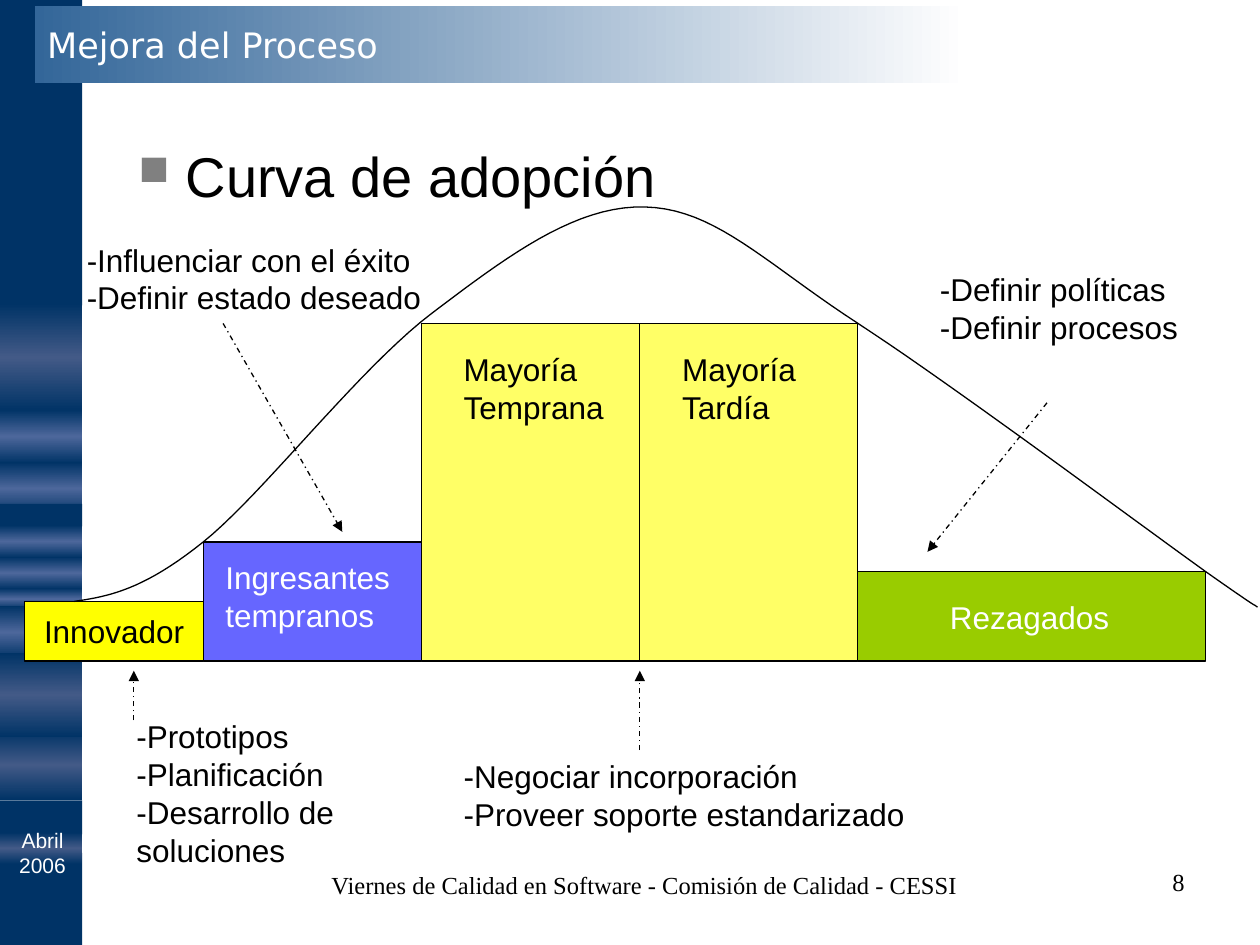
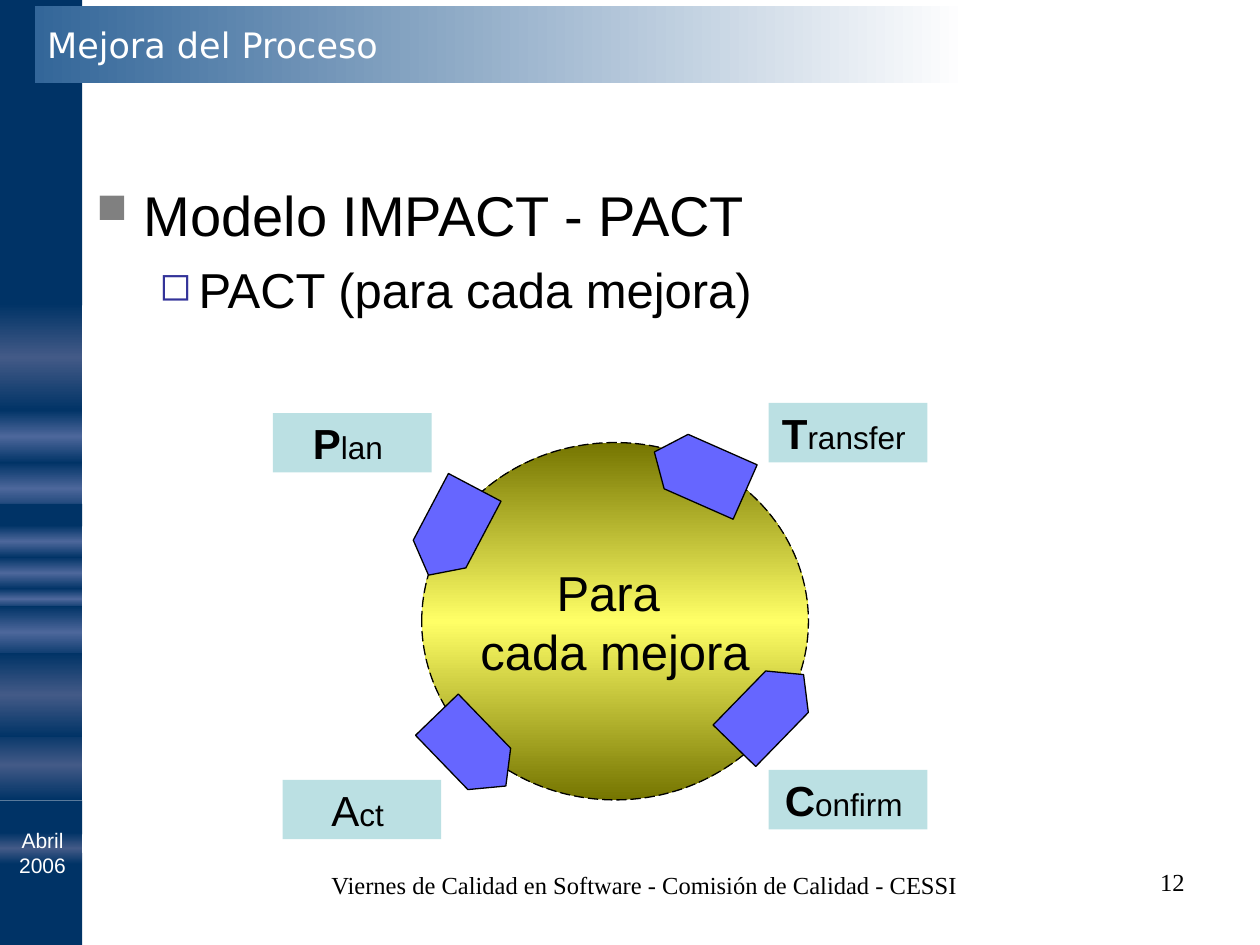
from lxml.etree import SubElement
from pptx import Presentation
from pptx.dml.color import RGBColor
from pptx.enum.dml import MSO_LINE
from pptx.enum.shapes import MSO_CONNECTOR, MSO_SHAPE
from pptx.enum.text import MSO_ANCHOR, PP_ALIGN
from pptx.oxml.ns import qn
from pptx.util import Pt

BLACK, WHITE, NAVY, STEEL = "000000", "FFFFFF", "003366", "336699"
VIOLET, LEMON, AQUA = "6666FF", "FFFF66", "BBE0E3"
rgb = RGBColor.from_string


def add_box(slide, at, fill, outline=False, kind=MSO_SHAPE.RECTANGLE, angle=90):
    """Add a shape; fill is one colour, or a list of evenly spaced gradient colours."""
    box = slide.shapes.add_shape(kind, *map(Pt, at))
    box.shadow.inherit = False
    if isinstance(fill, str):
        box.fill.solid()
        box.fill.fore_color.rgb = rgb(fill)
    else:
        box.fill.gradient()
        box.fill.gradient_angle = angle
        stops = box._element.spPr.find(qn("a:gradFill")).find(qn("a:gsLst"))
        for stop in list(stops):
            stops.remove(stop)
        for i, colour in enumerate(fill):
            stop = SubElement(stops, qn("a:gs"), pos=str(100000 * i // (len(fill) - 1)))
            SubElement(stop, qn("a:srgbClr"), val=colour)
    if outline:
        box.line.color.rgb = rgb(BLACK)
        box.line.width = Pt(0.75)
    else:
        box.line.fill.background()
    return box


def write(box, lines, size=18, colour=BLACK, font="Arial", align=PP_ALIGN.LEFT, **frame_format):
    """Fill a text frame; a line is a string or a list of (text, font format) runs."""
    frame = box.text_frame
    for key, value in {"word_wrap": True, **frame_format}.items():
        setattr(frame, key, value)
    for i, line in enumerate(lines):
        paragraph = frame.add_paragraph() if i else frame.paragraphs[0]
        paragraph.alignment = align
        for text, own_format in [(line, {})] if isinstance(line, str) else line:
            run = paragraph.add_run()
            run.text = text
            for key, value in {"name": font, "size": Pt(size), **own_format}.items():
                setattr(run.font, key, value)
            run.font.color.rgb = rgb(colour)


prs = Presentation()
prs.slide_width, prs.slide_height = Pt(720), Pt(540)

# Side band: top, height, middle colour of the gradient (None for plain)
DUSK, SKY = "435A87", "4D679B"
side_bands = [
    (-2, 176.5, None), (487.4, 54.6, None), (417.6, 39.4, DUSK), (457.4, 19.5, None),
    (475.8, 18, DUSK), (173.5, 61.5, DUSK), (234, 30.8, SKY), (264.2, 30.2, SKY),
    (288, 12.8, None), (336.2, 12.2, SKY), (346.3, 30.2, SKY), (318.2, 18.6, SKY),
    (300.2, 18.6, SKY), (373, 48.2, DUSK),
]

# Bullets by level: character, colour, size %, left margin, hanging indent, space before
bullets = [("■", "808080", 75, 27, 27, 0), ("◻", "333399", 80, 58.5, 22.5, 7)]

# Page number, body position, body lines
pages = [
    ("8", (72, 77.3, 611, 356), ["Curva de adopción"]),
    ("12", (48, 99.4, 642, 369),
     ["Modelo IMPACT - PACT", [("PACT (para cada mejora)", {"size": Pt(28)})]]),
]

# Shared parts and body text
slides = []
for number, body_at, body_lines in pages:
    slide = prs.slides.add_slide(prs.slide_layouts[6])
    slides.append(slide)
    for top, height, middle in side_bands:
        add_box(slide, (-1, top, 48, height), [NAVY, middle, NAVY] if middle else NAVY)

    date = slide.shapes.add_textbox(Pt(-59.7), Pt(467.6), Pt(168), Pt(37.4))
    write(date, ["Abril", "2006"], 12, WHITE, align=PP_ALIGN.CENTER,
          vertical_anchor=MSO_ANCHOR.BOTTOM)

    title = add_box(slide, (19.8, 3.5, 533, 44.2), [STEEL, WHITE], angle=0)
    write(title, ["Mejora del Proceso"], 20, WHITE, "DejaVu Sans")

    body = slide.shapes.add_textbox(*map(Pt, body_at))
    write(body, body_lines, 32)
    for level, paragraph in enumerate(body.text_frame.paragraphs):
        mark, colour, percent, margin, hanging, before = bullets[level]
        paragraph.level = level
        if before:
            paragraph.space_before = Pt(before)
        properties = paragraph._p.get_or_add_pPr()
        properties.set("marL", str(Pt(margin)))
        properties.set("indent", str(-Pt(hanging)))
        SubElement(SubElement(properties, qn("a:buClr")), qn("a:srgbClr"), val=colour)
        SubElement(properties, qn("a:buSzPct"), val=str(percent * 1000))
        SubElement(properties, qn("a:buChar"), char=mark)

    footer = slide.shapes.add_textbox(Pt(116), Pt(493.3), Pt(487.5), Pt(37.4))
    write(footer, ["Viernes de Calidad en Software - Comisión de Calidad - CESSI"], 14,
          font="Times New Roman", align=PP_ALIGN.CENTER, margin_left=Pt(24.3))
    page_number = slide.shapes.add_textbox(Pt(516), Pt(491.8), Pt(168), Pt(37.4))
    write(page_number, [number], 14, font="Times New Roman", align=PP_ALIGN.RIGHT)

adoption, pact = slides

# Adoption groups, all standing on one base line
BASE = 377.7
innovators = add_box(adoption, (14.2, 343.7, 102, BASE - 343.7), "FFFF00", True)
write(innovators, ["Innovador"], align=PP_ALIGN.CENTER, word_wrap=False)
add_box(adoption, (116.2, 309.7, 124.8, BASE - 309.7), VIOLET, True)
majority = add_box(adoption, (241, 184.8, 249.2, BASE - 184.8), LEMON, True)
add_box(adoption, (490.2, 326.7, 198.8, BASE - 326.7), "99CC00", True)

# Divider of the majority and dash-dot arrows from notes to groups
divider = adoption.shapes.add_connector(MSO_CONNECTOR.STRAIGHT, 0, 0, 0, 0)
divider.begin_connect(majority, 0)
divider.end_connect(majority, 2)
arrows = [
    adoption.shapes.add_connector(MSO_CONNECTOR.STRAIGHT, *map(Pt, ends))
    for ends in [(76.5, 411.7, 76.5, 383.3), (127.5, 184.8, 195.6, 303.9),
                 (598.3, 230.2, 530, 315.3), (365.6, 428.7, 365.6, 383.3)]
]
for connector in [divider, *arrows]:
    connector.line.color.rgb = rgb(BLACK)
    connector.line.width = Pt(0.75)
    if connector is not divider:
        connector.line.dash_style = MSO_LINE.DASH_DOT
        SubElement(connector.line._get_or_add_ln(), qn("a:tailEnd"), type="triangle")
    SubElement(connector._element.spPr, qn("a:effectLst"))

# Adoption curve: cubic segments (two controls and an end), sampled evenly
STEPS = 20
start = (42.5, 343.7)
segments = [
    ((62.4, 340.8), (82.2, 337), (116.2, 309.7)),
    ((150.2, 282.4), (204.8, 211), (246.6, 179.2)),
    ((288.7, 147.4), (328.3, 117.2), (368.5, 118.3)),
    ((408.8, 119.3), (437, 150.2), (490.2, 184.8)),
    ((543.6, 219.5), (650.9, 299.4), (689, 326.7)),
    ((727.3, 353.6), (712.8, 342.7), (718.6, 347)),
]
curve_points = []
here = start
for first, second, end in segments:
    for step in range(1, STEPS + 1):
        t = step / STEPS
        curve_points.append(tuple(
            Pt((1 - t) ** 3 * a + 3 * (1 - t) ** 2 * t * b + 3 * (1 - t) * t ** 2 * c + t ** 3 * d)
            for a, b, c, d in zip(here, first, second, end)))
    here = end
builder = adoption.shapes.build_freeform(Pt(start[0]), Pt(start[1]))
builder.add_line_segments(curve_points, close=False)
curve = builder.convert_to_shape()
curve.shadow.inherit = False
curve.fill.background()
curve.line.color.rgb = rgb(BLACK)
curve.line.width = Pt(0.75)

# Group names and notes: position, lines, colour
early_entrants = add_box(adoption, (121.7, 315.4, 108.7, 50.4), VIOLET)
write(early_entrants, ["Ingresantes", "tempranos"], colour=WHITE, word_wrap=False)
notes = [
    ((257.8, 196.6, 104, 50.4), ["Mayoría", "Temprana"], BLACK),
    ((382.7, 196.6, 90, 50.4), ["Mayoría", "Tardía"], BLACK),
    ((535.7, 338, 130, 28.8), ["Rezagados"], WHITE),
    ((70.8, 406.3, 143.3, 93.6),
     ["-Prototipos", "-Planificación", "-Desarrollo de soluciones"], BLACK),
    ((42.5, 134, 214, 50.4), ["-Influenciar con el éxito", "-Definir estado deseado"], BLACK),
    ((257.8, 428.9, 289.4, 50.4),
     ["-Negociar incorporación", "-Proveer soporte estandarizado"], BLACK),
    ((530, 150.9, 164.2, 50.4), ["-Definir políticas", "-Definir procesos"], BLACK),
]
for at, lines, colour in notes:
    note = adoption.shapes.add_textbox(*map(Pt, at))
    write(note, lines, colour=colour)

# Improvement cycle
cycle = add_box(pact, (241, 252.9, 221, 204.2), ["757500", LEMON, "757500"], True, MSO_SHAPE.OVAL)
cycle.line.dash_style = MSO_LINE.LONG_DASH
write(cycle, ["Para ", "cada mejora"], 28, align=PP_ALIGN.CENTER, word_wrap=False)

# Stages of the cycle: left, top, initial, rest, bold initial
stages = [
    (156, 236, "P", "lan ", True), (161.5, 445.6, "A", "ct ", False),
    (439.3, 440, "C", "onfirm ", True), (439.3, 230.2, "T", "ransfer ", True),
]
for left, top, initial, rest, bold in stages:
    stage = add_box(pact, (left, top, 90.7, 34), AQUA)
    write(stage, [[(initial, {"size": Pt(24), "bold": bold}), (rest, {})]],
          align=PP_ALIGN.CENTER, word_wrap=False)

# Direction markers: left, top, rotation
for left, top, rotation in [(229.7, 286.6, 117.8), (241, 411.8, 46),
                            (411.1, 388.8, 314.2), (371.5, 252.7, 203.8)]:
    marker = add_box(pact, (left, top, 56.7, 34), VIOLET, True, MSO_SHAPE.PENTAGON)
    marker.adjustments[0] = 0.4
    marker.rotation = rotation

prs.save("out.pptx")
